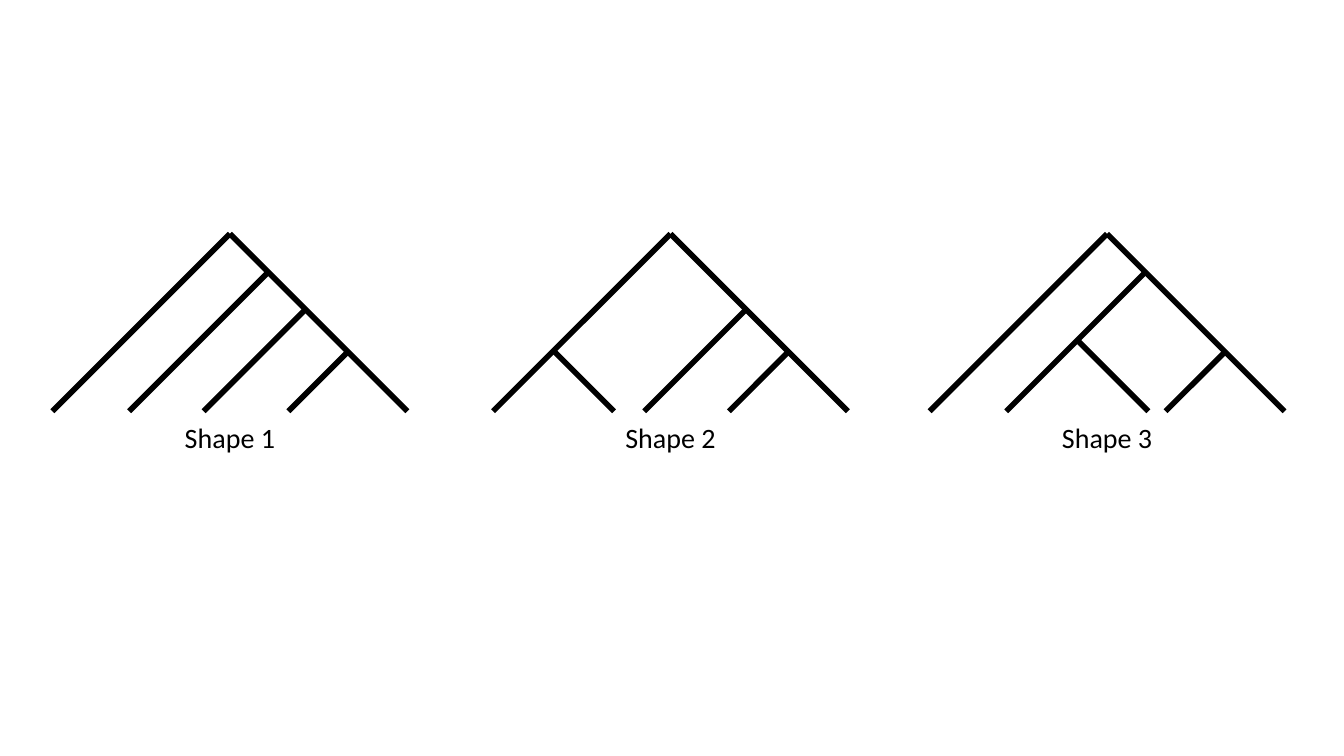
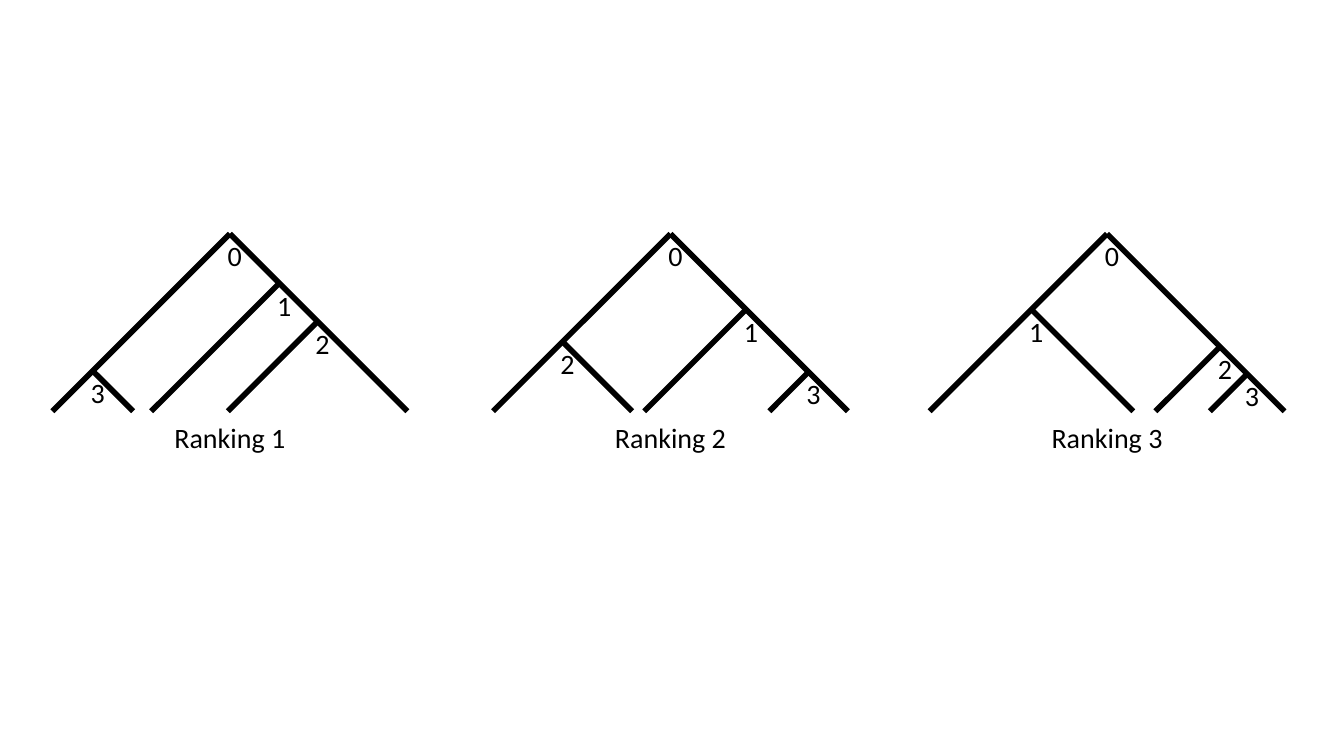
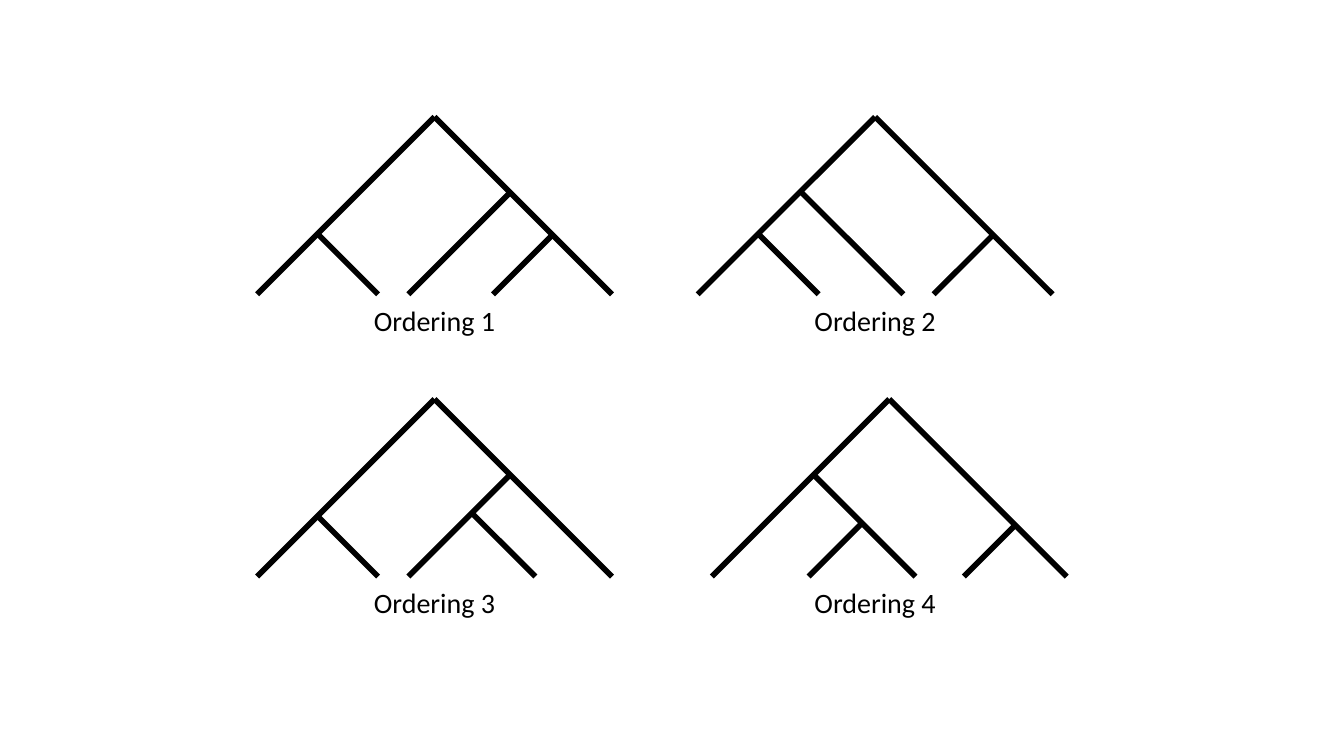
from pptx import Presentation
from pptx.dml.color import RGBColor
from pptx.enum import shapes, text
from pptx.util import Inches, Pt
from lxml import etree

COLORS = {"ink": "000000"}
FONT = "Calibri"
HEIGHT = 1.76          # apex to tips; every branch runs at 45 degrees
LABEL_HEIGHT = 0.44
RANK_WIDTH = 0.24
CAPTION_GAP = 0.04
LEFT, RIGHT = -1, 1
DRAWING_NS = "http://schemas.openxmlformats.org/drawingml/2006/main"

# Each tree: caption, apex x, apex y, caption shift, forks from top to bottom.
# Each fork: distance across from the apex, depth below it, side its branch runs to.
shape_trees = [
    ("Shape 1", 2.28, 2.32, 0, [(0.38, 0.38, LEFT), (0.75, 0.75, LEFT), (1.17, 1.17, LEFT)]),
    ("Shape 2", 6.65, 2.32, 0, [(0.75, 0.75, LEFT), (-1.16, 1.16, RIGHT), (1.17, 1.17, LEFT)]),
    ("Shape 3", 10.98, 2.32, 0, [(0.38, 0.38, LEFT), (-0.29, 1.06, RIGHT), (1.17, 1.17, LEFT)]),
]
ranking_trees = [
    ("Ranking 1", 2.28, 2.32, 0, [(0.49, 0.49, LEFT), (0.87, 0.87, LEFT), (-1.36, 1.36, RIGHT)]),
    ("Ranking 2", 6.65, 2.32, 0, [(0.75, 0.75, LEFT), (-1.07, 1.07, RIGHT), (1.37, 1.37, LEFT)]),
    ("Ranking 3", 10.98, 2.32, 0, [(-0.75, 0.75, RIGHT), (1.12, 1.12, LEFT), (1.39, 1.39, LEFT)]),
]
ordering_trees = [
    ("Ordering 1", 4.31, 1.16, 0, [(0.75, 0.75, LEFT), (-1.16, 1.16, RIGHT), (1.17, 1.17, LEFT)]),
    ("Ordering 2", 8.68, 1.16, 0, [(-0.74, 0.74, RIGHT), (-1.16, 1.16, RIGHT), (1.17, 1.17, LEFT)]),
    ("Ordering 3", 4.31, 3.96, 0, [(0.75, 0.75, LEFT), (0.38, 1.14, RIGHT), (-1.16, 1.16, RIGHT)]),
    ("Ordering 4", 8.82, 3.96, -0.14, [(-0.75, 0.75, RIGHT), (-0.28, 1.24, LEFT), (1.25, 1.25, LEFT)]),
]


def add_branch(group, x, y, side, length):
    """Draw a diagonal down from (x, y)."""
    branch = group.shapes.add_connector(
        shapes.MSO_CONNECTOR.STRAIGHT,
        Inches(x), Inches(y), Inches(x + side * length), Inches(y + length))
    branch.line.color.rgb = RGBColor.from_string(COLORS["ink"])
    branch.line.width = Pt(4)
    etree.SubElement(branch._element.spPr, f"{{{DRAWING_NS}}}effectLst")


def add_label(group, words, center, top, width):
    """Write one centred line of text."""
    box = group.shapes.add_textbox(
        Inches(center - width / 2), Inches(top), Inches(width), Inches(LABEL_HEIGHT))
    box.text_frame.word_wrap = True
    box.text_frame.auto_size = text.MSO_AUTO_SIZE.SHAPE_TO_FIT_TEXT
    para = box.text_frame.paragraphs[0]
    para.text = words
    para.alignment = text.PP_ALIGN.CENTER
    para.font.name = FONT
    para.font.size = Pt(20)
    para.font.color.rgb = RGBColor.from_string(COLORS["ink"])


deck = Presentation()
deck.slide_width, deck.slide_height = Inches(13.33), Inches(7.5)
blank_layout = deck.slide_layouts[6]

# One slide per set of trees; only the rankings number their forks
for trees, ranked in [(shape_trees, False), (ranking_trees, True), (ordering_trees, False)]:
    page = deck.slides.add_slide(blank_layout)
    for caption, apex_x, apex_y, shift, forks in trees:
        group = page.shapes.add_group_shape()

        # Outer edges and inner branches
        for across, depth, side in [(0, 0, LEFT), (0, 0, RIGHT), *forks]:
            add_branch(group, apex_x + across, apex_y + depth, side, HEIGHT - depth)

        # Ranks grow with depth, starting at the apex
        if ranked:
            for rank, (across, depth, side) in enumerate([(0, 0, LEFT), *forks]):
                add_label(group, str(rank), apex_x + across, apex_y + depth, RANK_WIDTH)

        add_label(group, caption, apex_x + shift, apex_y + HEIGHT + CAPTION_GAP, 2 * HEIGHT)

deck.save("out.pptx")
